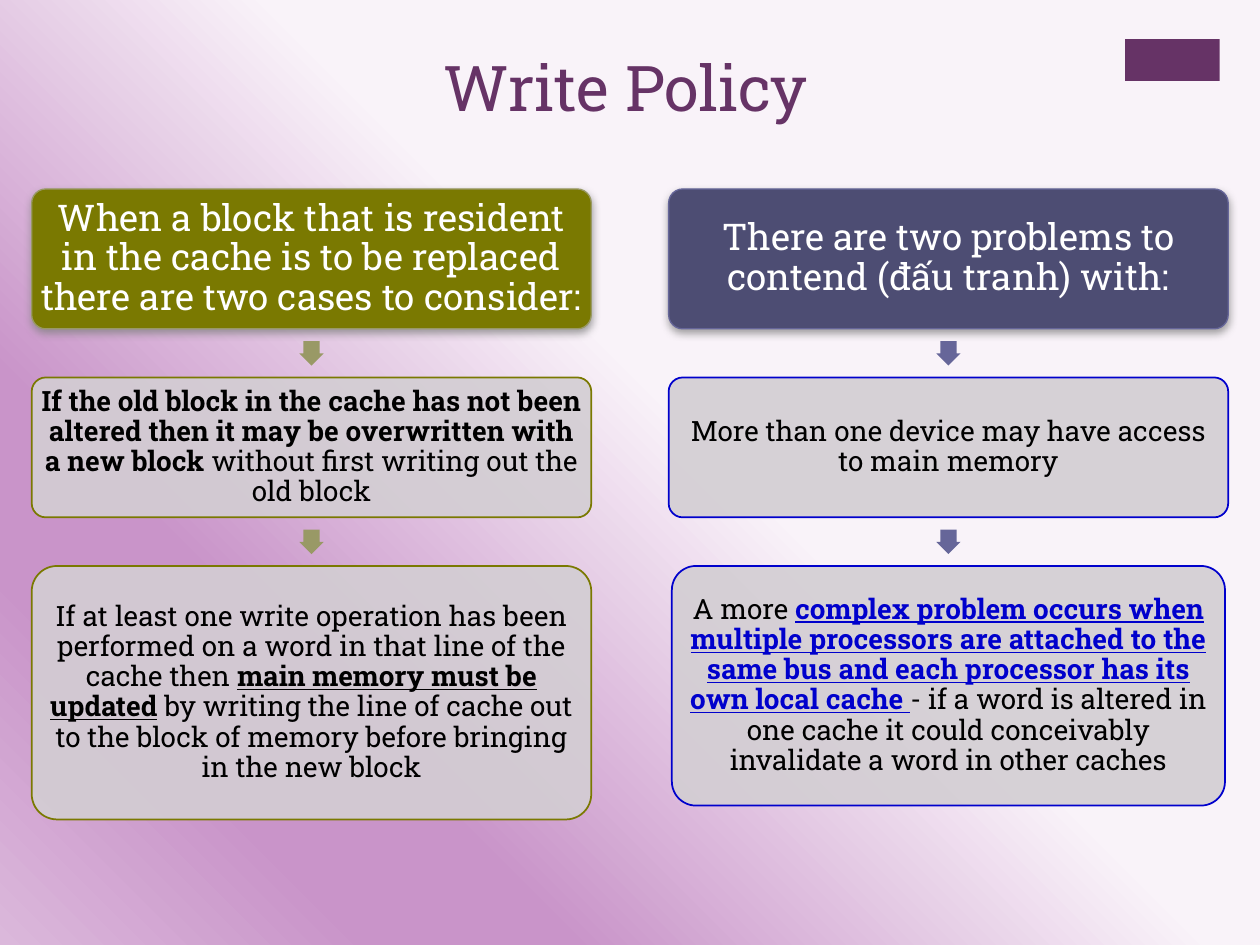
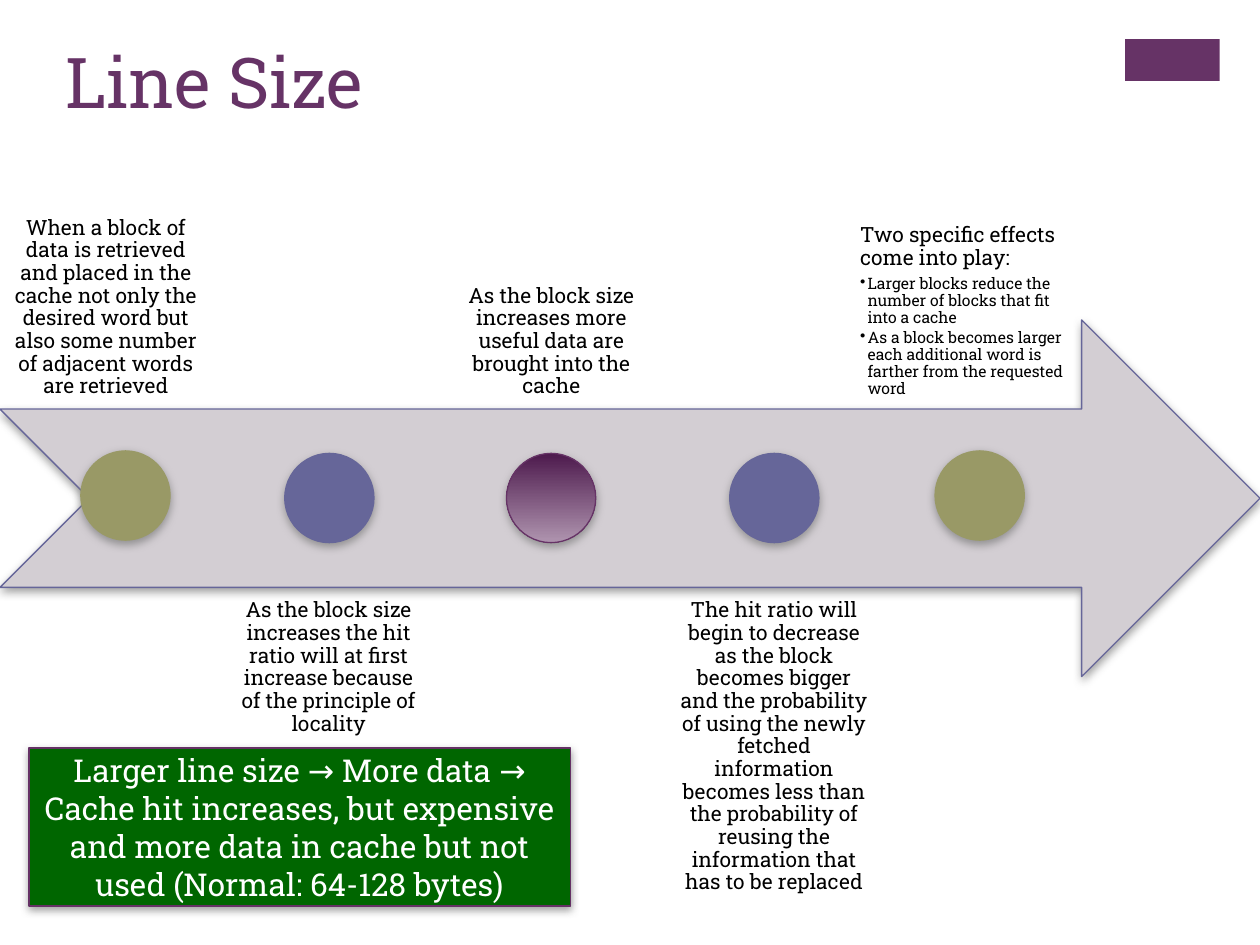
from pptx import Presentation
from pptx.dml.color import RGBColor
from pptx.enum.shapes import MSO_SHAPE as Kind
from pptx.enum.text import MSO_ANCHOR as Anchor, PP_ALIGN as Align
from pptx.oxml import parse_xml
from pptx.oxml.ns import nsdecls, qn
from pptx.util import Cm, Pt

# Shared colours and font
FONT = "Roboto Slab"
PLUM, OLIVE, SLATE = "663366", "999966", "666699"
MOSS, NAVY, BLUE, GREEN = "7A7901", "4D4D73", "0000CC", "006600"
PALE, WHITE, BLACK = "D3CED3", "FFFFFF", "000000"
rgb = RGBColor.from_string


def draw(page, kind, at, fill, line=None, width=0.75, shade=False):
    """Add a preset shape; at is left, top, width, height in cm."""
    shape = page.shapes.add_shape(kind, *map(Cm, at))
    shape.fill.solid()
    shape.fill.fore_color.rgb = rgb(fill)
    if line:
        shape.line.color.rgb = rgb(line)
        shape.line.width = Pt(width)
    else:
        shape.line.fill.background()
    shape.shadow.inherit = False
    if shade:
        shape.element.spPr.find(qn("a:effectLst")).append(parse_xml(
            f'<a:outerShdw {nsdecls("a")} blurRad="{Pt(5)}" dist="{Pt(2)}" '
            'dir="5400000" rotWithShape="0"><a:srgbClr val="808080">'
            '<a:alpha val="75000"/></a:srgbClr></a:outerShdw>'))
    return shape


def write(shape, paras, size, color=BLACK, align=Align.CENTER,
          anchor=Anchor.MIDDLE, pad=(0.25, 0.13), space=0.9):
    """Fill a shape with paragraphs, each a list of (text, format) runs."""
    frame = shape.text_frame
    look = {"word_wrap": True, "vertical_anchor": anchor,
            "margin_left": Cm(pad[0]), "margin_right": Cm(pad[0]),
            "margin_top": Cm(pad[1]), "margin_bottom": Cm(pad[1])}
    for key, val in look.items():
        setattr(frame, key, val)
    for i, runs in enumerate(paras):
        para = frame.add_paragraph() if i else frame.paragraphs[0]
        para.alignment, para.line_spacing = align, space
        for text, form in runs:
            run = para.add_run()
            run.text = text
            form = {"name": FONT, "size": Pt(size), "tint": color} | form
            run.font.color.rgb = rgb(form.pop("tint"))
            for key, val in form.items():
                setattr(run.font, key, val)
    return frame


deck = Presentation()
deck.slide_width, deck.slide_height = Cm(25.4), Cm(19.05)

# Both pages: corner block and title
heads = [("Write Policy", 36, (8.69, 0.84, 8.28, 3.1)),
         ("Line Size", 40, (1.07, 0.64, 7.82, 3.81))]
pages = []
for text, size, at in heads:
    page = deck.slides.add_slide(deck.slide_layouts[6])
    draw(page, Kind.RECTANGLE, (22.68, 0.79, 1.91, 0.84), PLUM)
    title = page.shapes.add_textbox(*map(Cm, at))
    write(title, [[(text, {})]], size, PLUM, Align.LEFT, Anchor.TOP, space=1)
    pages.append(page)
policy, sizing = pages

# Write policy: two columns of a head and two cases
BOLD = {"bold": True}
MARK = {"bold": True, "underline": True}
TOP, STEP, WIDE, HIGH, TIP = 3.81, 3.8, 11.28, 2.82, 0.49
cols = [
    (0.64, MOSS, OLIVE, MOSS, (WIDE, 5.11), [
        [("When a block that is resident in the cache is to be replaced "
          "there are two cases to consider:", {})],
        [("If the old block in the cache has not been altered then it may "
          "be overwritten with a new block", BOLD),
         (" without first writing out the old block", {})],
        [("If at least one write operation has been performed on a word in "
          "that line of the cache then ", {}),
         ("main memory must be updated", MARK),
         (" by writing the line of cache out to the block of memory before "
          "bringing in the new block", {})]]),
    (13.48, NAVY, SLATE, BLUE, (11.15, 4.83), [
        [("There are two problems to contend (đấu tranh) with:", {})],
        [("More than one device may have access to main memory", {})],
        [("A more ", {}),
         ("complex problem occurs when multiple processors are attached to "
          "the same bus and each processor has its own local cache ",
          MARK | {"tint": BLUE}),
         ("- if a word is altered in one cache it could conceivably "
          "invalidate a word in other caches", {})]]),
]
for left, dark, mid, edge, last, cells in cols:
    axis = left + WIDE / 2
    for row, runs in enumerate(cells):
        top = TOP + row * STEP
        wide, high = last if row == 2 else (WIDE, HIGH)
        at = (axis - wide / 2, top, wide, high)
        if row == 0:
            card = draw(policy, Kind.ROUNDED_RECTANGLE, at, dark, mid, shade=True)
            write(card, [runs], 21, WHITE, pad=(0.07, 0.07))
        else:
            card = draw(policy, Kind.ROUNDED_RECTANGLE, at, PALE, edge, 1)
            tone = card.element.spPr.find(qn("a:solidFill"))[0]
            tone.append(parse_xml(f'<a:alpha {nsdecls("a")} val="90000"/>'))
            write(card, [runs], 16, pad=(0.05, 0.05))
        card.adjustments[0] = 0.1
        if row < 2:
            tip = draw(policy, Kind.DOWN_ARROW,
                       (axis - TIP / 2, top + HIGH + 0.25, TIP, TIP), mid)
            tip.adjustments[0], tip.adjustments[1] = 0.667, 0.5

# Line size: arrow with five stops, notes above and below in turn
draw(sizing, Kind.NOTCHED_RIGHT_ARROW, (0, 6.45, 25.4, 7.19), PALE, SLATE,
     shade=True)
stops = [
    (0, 1.63, 9.09, OLIVE, [
        "When a block of data is retrieved and placed in the cache not only "
        "the desired word but also some number of adjacent words are retrieved"]),
    (4.49, 5.74, 9.14, SLATE, [
        "As the block size increases the hit ratio will at first increase "
        "because of the principle of locality"]),
    (8.98, 10.21, 9.14, PLUM, [
        "As the block size increases more useful data are brought into the "
        "cache"]),
    (13.47, 14.71, 9.14, SLATE, [
        "The hit ratio will begin to decrease as the block becomes bigger and "
        "the probability of using the newly fetched information becomes less "
        "than the probability of reusing the information that has to be "
        "replaced"]),
    (16.94, 18.85, 9.09, OLIVE, [
        "Two specific effects come into play:",
        "Larger blocks reduce the number of blocks that fit into a cache",
        "As a block becomes larger each additional word is farther from the "
        "requested word"]),
]
dots = []
for i, (left, spot, top, tint, lines) in enumerate(stops):
    many, low = len(lines) > 1, i % 2
    note = sizing.shapes.add_textbox(
        Cm(left), Cm(11.86 if low else 1.07), Cm(4.9 if many else 4.27), Cm(7.19))
    paras = [[(text, {"size": Pt(9)} if n else {})]
             for n, text in enumerate(lines)]
    frame = write(note, paras, 12, align=Align.LEFT if many else Align.CENTER,
                  anchor=Anchor.TOP if low else Anchor.BOTTOM, pad=(0.23, 0.23))
    if many:
        frame.margin_left = Cm(0.4)
    for para, gap in zip(frame.paragraphs[1:], (3.5, 1.5)):
        para.space_before = Pt(gap)
        props = para._p.get_or_add_pPr()
        props.set("marL", str(Cm(0.15)))
        props.set("indent", str(Cm(-0.15)))
        props.append(parse_xml(f'<a:buChar {nsdecls("a")} char="•"/>'))
    dots.append(draw(sizing, Kind.OVAL, (spot, top, 1.8, 1.8), tint, tint,
                     shade=True))

# Summary box
sums = draw(sizing, Kind.RECTANGLE, (0.58, 15.08, 10.92, 3.18), GREEN, "653165",
            1, True)
write(sums, [[("Larger line size → More data → Cache hit increases, but "
               "expensive and more data in cache but not used "
               "(Normal: 64-128 bytes)", {})]], 18, WHITE, space=1)

# Backgrounds and gradients
ground = sizing.background.fill
ground.solid()
ground.fore_color.rgb = rgb(WHITE)
fades = [
    (policy.background.fill, policy, 135,
     [(45, "F9F3F9"), (74, "C994C9"), (83, "C994C9"), (100, "DBB8DB")]),
    (dots[2].fill, dots[2], 90, [(0, "4D1A4D"), (100, "AF94AF")]),
]
for fill, owner, angle, tones in fades:
    fill.gradient()
    old = next(owner.element.iter(qn("a:gradFill")))
    marks = "".join(f'<a:gs pos="{pos * 1000}"><a:srgbClr val="{tone}"/></a:gs>'
                    for pos, tone in tones)
    old.getparent().replace(old, parse_xml(
        f'<a:gradFill {nsdecls("a")} rotWithShape="1"><a:gsLst>{marks}</a:gsLst>'
        f'<a:lin ang="{angle * 60000}" scaled="0"/></a:gradFill>'))

deck.save("out.pptx")
